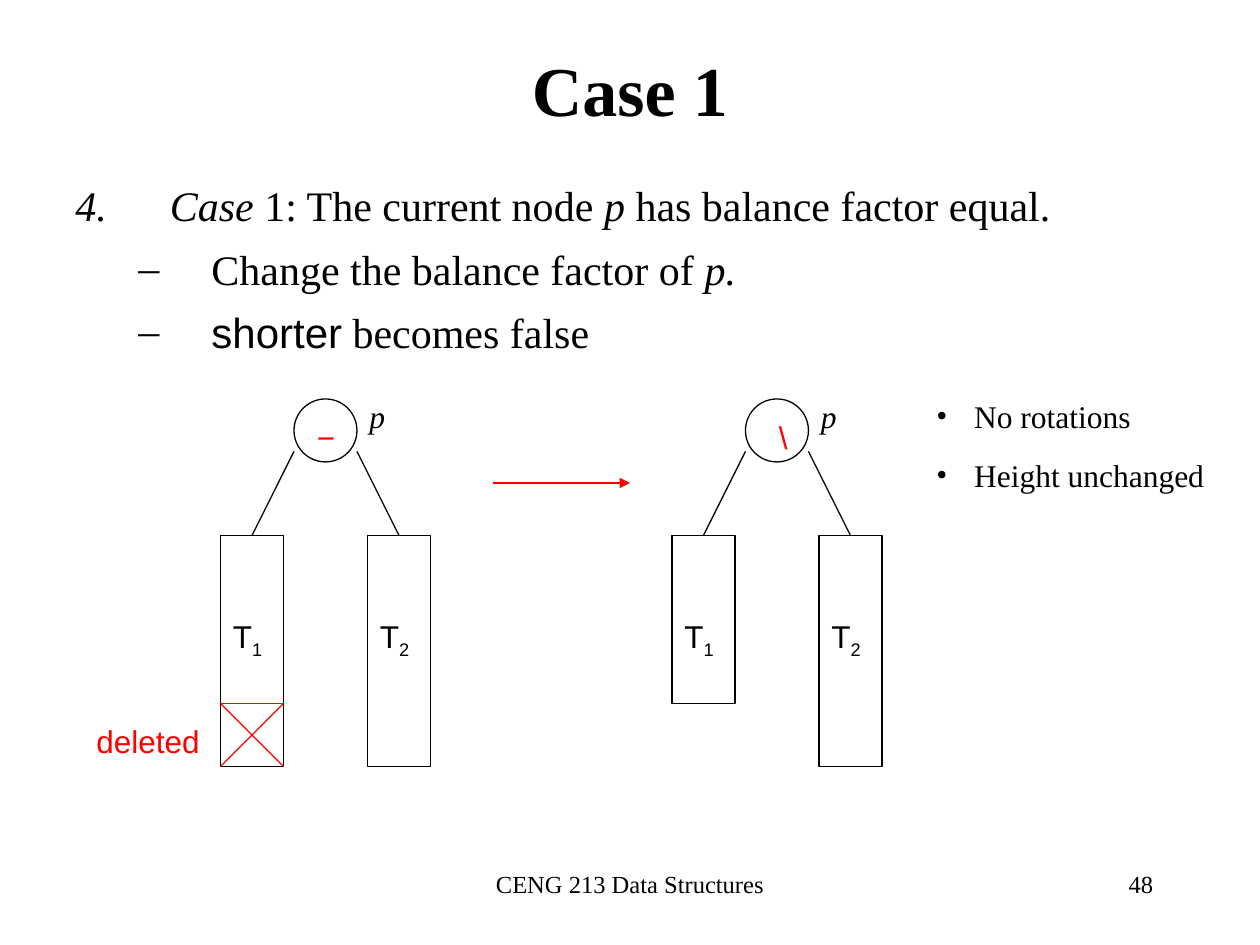
from lxml import etree
from pptx import Presentation
from pptx.dml.color import RGBColor
from pptx.enum.shapes import MSO_CONNECTOR, MSO_SHAPE
from pptx.enum.text import MSO_ANCHOR, PP_ALIGN
from pptx.oxml.ns import qn
from pptx.util import Inches, Pt

LEFT, CENTER, RIGHT = PP_ALIGN.LEFT, PP_ALIGN.CENTER, PP_ALIGN.RIGHT
MIDDLE = MSO_ANCHOR.MIDDLE
STRAIGHT = MSO_CONNECTOR.STRAIGHT
RECTANGLE, OVAL = MSO_SHAPE.RECTANGLE, MSO_SHAPE.OVAL

COLORS = {"ink": "000000", "accent": "FF0000"}
SERIF, SANS = "Times New Roman", "Arial"
CELLS_PER_INCH = 12  # the slide is a grid of 120 columns by 90 rows
LINE_WIDTH = Pt(0.75)
LINE_SPACING = 1.05

BODY = {"name": SERIF, "size": Pt(24)}
NOTE = {"name": SERIF, "size": Pt(18)}
LABEL = {"name": SANS, "size": Pt(18)}
ACCENT_LABEL = {**LABEL, "color": "accent"}
FOOTER = {"name": SERIF, "size": Pt(14)}
TITLE = {"name": SERIF, "size": Pt(40), "bold": True}
ITALIC = {"italic": True}


def grid(*cells):
    return [Inches(cell / CELLS_PER_INCH) for cell in cells]


def color(name):
    return RGBColor.from_string(COLORS[name])


def add_run(paragraph, text, style):
    style = dict(style)
    baseline = style.pop("baseline", None)
    run = paragraph.add_run()
    run.text = text
    run.font.color.rgb = color(style.pop("color", "ink"))
    for name, value in style.items():
        setattr(run.font, name, value)
    if baseline:
        run.font._element.set("baseline", baseline)


def set_bullet(paragraph, kind, margin, hanging, **attributes):
    properties = paragraph._p.get_or_add_pPr()
    properties.set("marL", str(Inches(margin)))
    properties.set("indent", str(-Inches(hanging)))
    etree.SubElement(properties, qn("a:buFont")).set("typeface", SERIF)
    bullet = etree.SubElement(properties, qn(f"a:{kind}"))
    for name, value in attributes.items():
        bullet.set(name, value)


def add_text(slide, box, paragraphs, style, align=LEFT, gap=0, bullets=()):
    """Each paragraph is a list of (text, style changes) pairs."""
    frame = slide.shapes.add_textbox(*grid(*box)).text_frame
    frame.word_wrap = True
    for index, runs in enumerate(paragraphs):
        paragraph = frame.add_paragraph() if index else frame.paragraphs[0]
        if bullets:
            set_bullet(paragraph, **bullets[index])
        paragraph.alignment = align
        paragraph.line_spacing = LINE_SPACING
        paragraph.space_before = Pt(gap if index else 0)
        for text, changes in runs:
            add_run(paragraph, text, {**style, **changes})


def add_outline(slide, kind, box):
    shape = slide.shapes.add_shape(kind, *grid(*box))
    shape.shadow.inherit = False
    shape.fill.background()
    shape.line.color.rgb = color("ink")
    shape.line.width = LINE_WIDTH


def add_line(slide, start, end, color_name="ink", arrow=False):
    connector = slide.shapes.add_connector(STRAIGHT, *grid(*start, *end))
    connector.line.color.rgb = color(color_name)
    connector.line.width = LINE_WIDTH
    if arrow:
        line = connector.line._get_or_add_ln()
        etree.SubElement(line, qn("a:tailEnd")).set("type", "triangle")
    etree.SubElement(connector._element.spPr, qn("a:effectLst"))


def add_tree(slide, left, balance, balance_left, heights):
    """Draw node p with its balance sign above the subtrees T1 and T2."""
    add_outline(slide, OVAL, (left + 7, 38, 6, 6))
    add_text(slide, (balance_left, 39, 5, 4.8), [[(balance, {})]], ACCENT_LABEL)
    add_text(slide, (left + 13, 37, 7, 4.8), [[("p", ITALIC)]], NOTE)
    for number, (column, edge, height) in enumerate(
            zip((left, left + 14), (left + 7, left + 13), heights), start=1):
        add_outline(slide, RECTANGLE, (column, 51, 6, height))
        add_line(slide, (edge, 43), (column + 3, 51))
        name = [("T", {}), (str(number), {"baseline": "-25000"})]
        add_text(slide, (column, 58, 6, 5.3), [name], LABEL)


def add_deleted_mark(slide, left, top, size):
    right, bottom = left + size, top + size
    for start, end in (((left, top), (right, top)),
                       ((left, top), (right, bottom)),
                       ((right, top), (left, bottom))):
        add_line(slide, start, end, "accent")
    add_text(slide, (8, 68, 14, 4.8), [[("deleted", {})]], ACCENT_LABEL)


def add_title(slide, text):
    title = slide.shapes.title
    title.left, title.top, title.width, title.height = grid(9, 5, 102, 6.8)
    title.text_frame.vertical_anchor = MIDDLE
    paragraph = title.text_frame.paragraphs[0]
    paragraph.alignment = CENTER
    add_run(paragraph, text, TITLE)


def main():
    presentation = Presentation()
    presentation.slide_width, presentation.slide_height = grid(120, 90)
    slide = presentation.slides.add_slide(presentation.slide_layouts[5])

    add_title(slide, "Case 1")
    number = {"kind": "buAutoNum", "margin": 0.75, "hanging": 0.75,
              "type": "arabicPeriod", "startAt": "4"}
    dash = {"kind": "buChar", "margin": 1.08, "hanging": 0.58, "char": "–"}
    dot = {"kind": "buChar", "margin": 0.3, "hanging": 0.3, "char": "•"}
    add_text(slide, (6, 16.3, 108, 19), [
        [("Case ", ITALIC), ("1: The current node ", {}), ("p", ITALIC),
         (" has balance factor equal.", {})],
        [("Change the balance factor of ", {}), ("p.", ITALIC)],
        [("shorter", {"name": SANS}), (" becomes false", {})],
    ], BODY, gap=6, bullets=(number, dash, dash))

    add_tree(slide, 21, "−", 29, heights=(22, 22))
    add_deleted_mark(slide, 21, 67, 6)
    add_line(slide, (47, 46), (60, 46), "accent", arrow=True)
    add_tree(slide, 64, "\\", 73, heights=(16, 22))
    add_text(slide, (88, 37, 29, 10.3),
             [[("No rotations", {})], [("Height unchanged", {})]],
             NOTE, gap=11.2, bullets=(dot, dot))

    add_text(slide, (41, 82, 38, 6), [[("CENG 213 Data Structures", {})]],
             FOOTER, CENTER)
    add_text(slide, (86, 82, 25, 6), [[("48", {})]], FOOTER, RIGHT)
    presentation.save("out.pptx")


if __name__ == "__main__":
    main()
